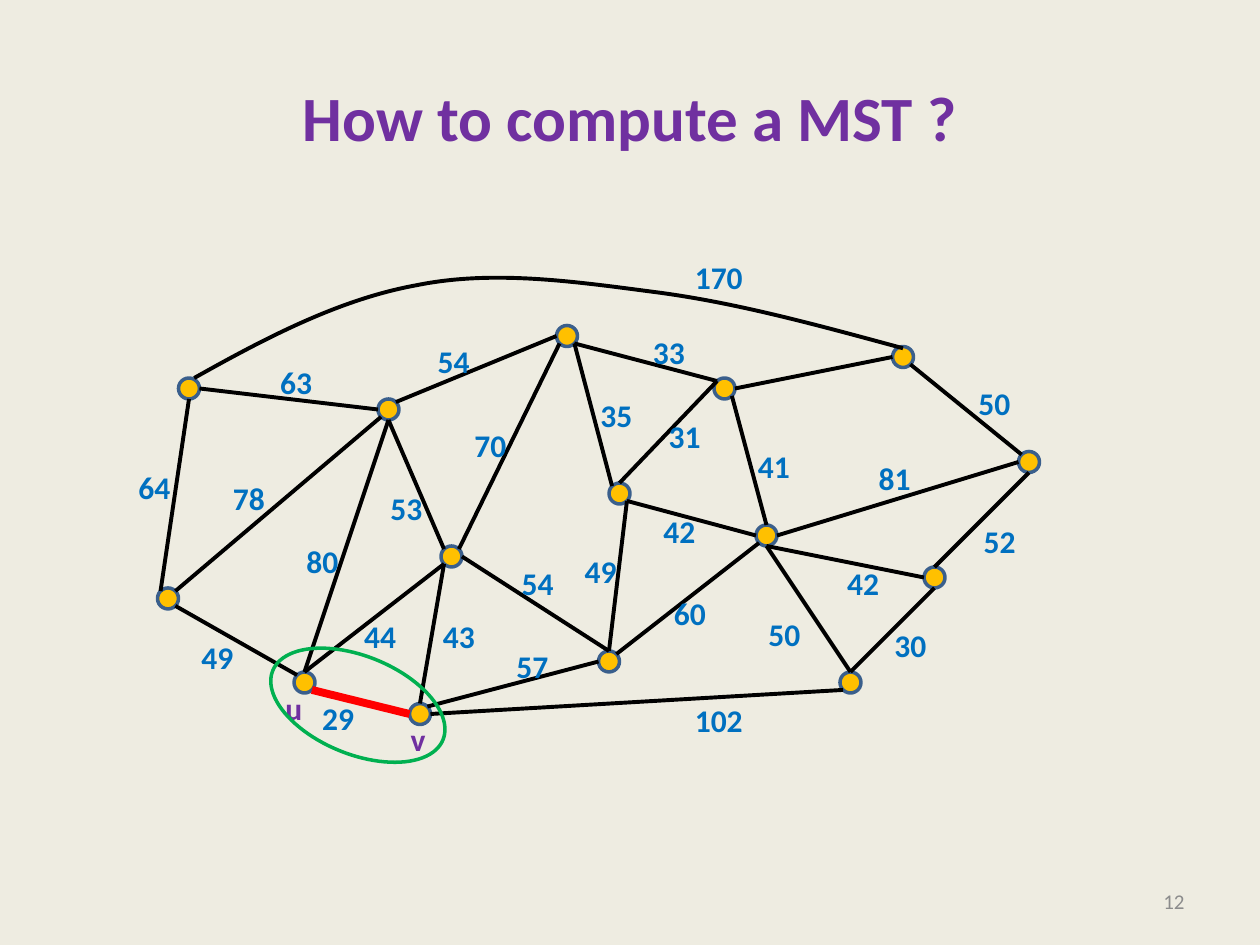
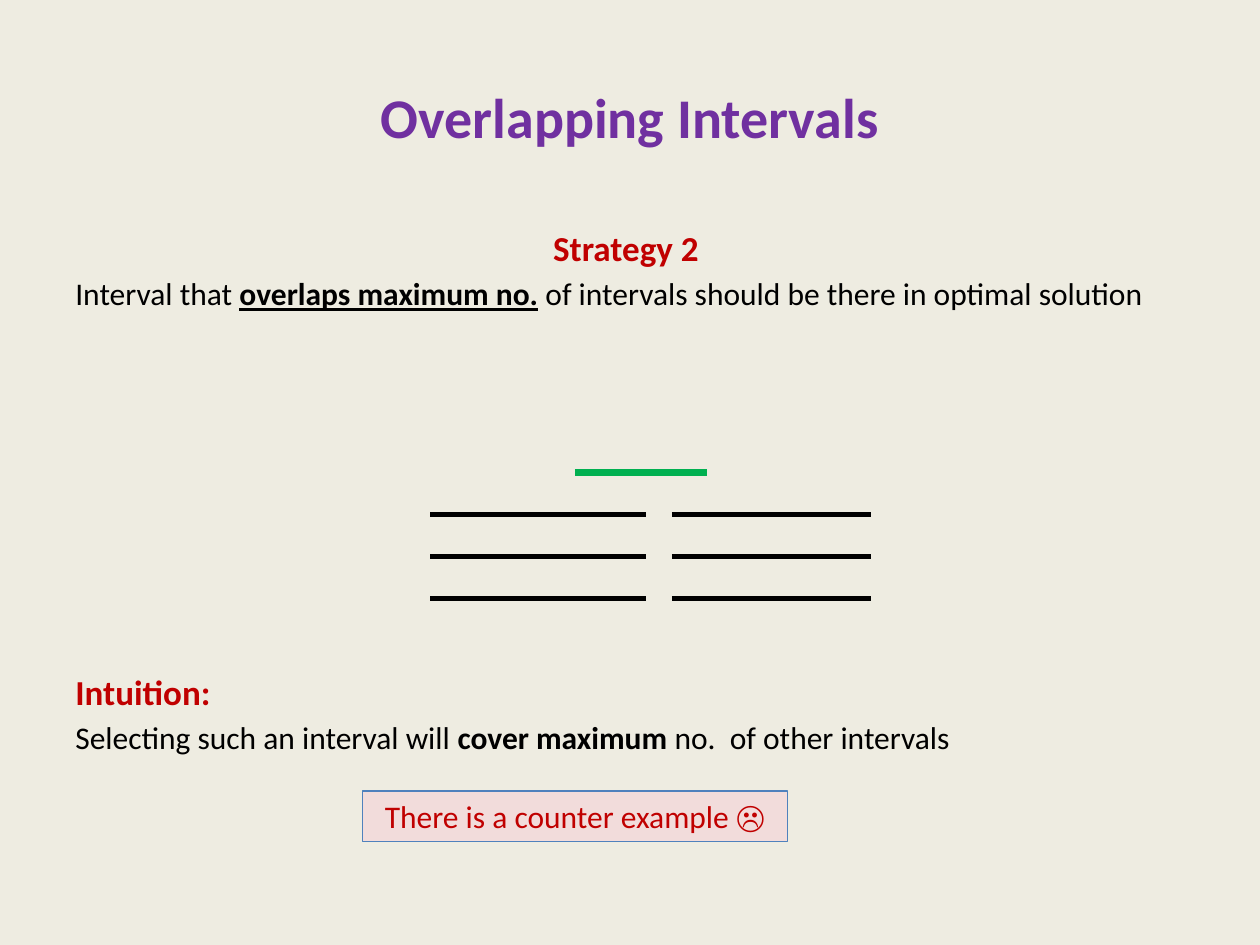
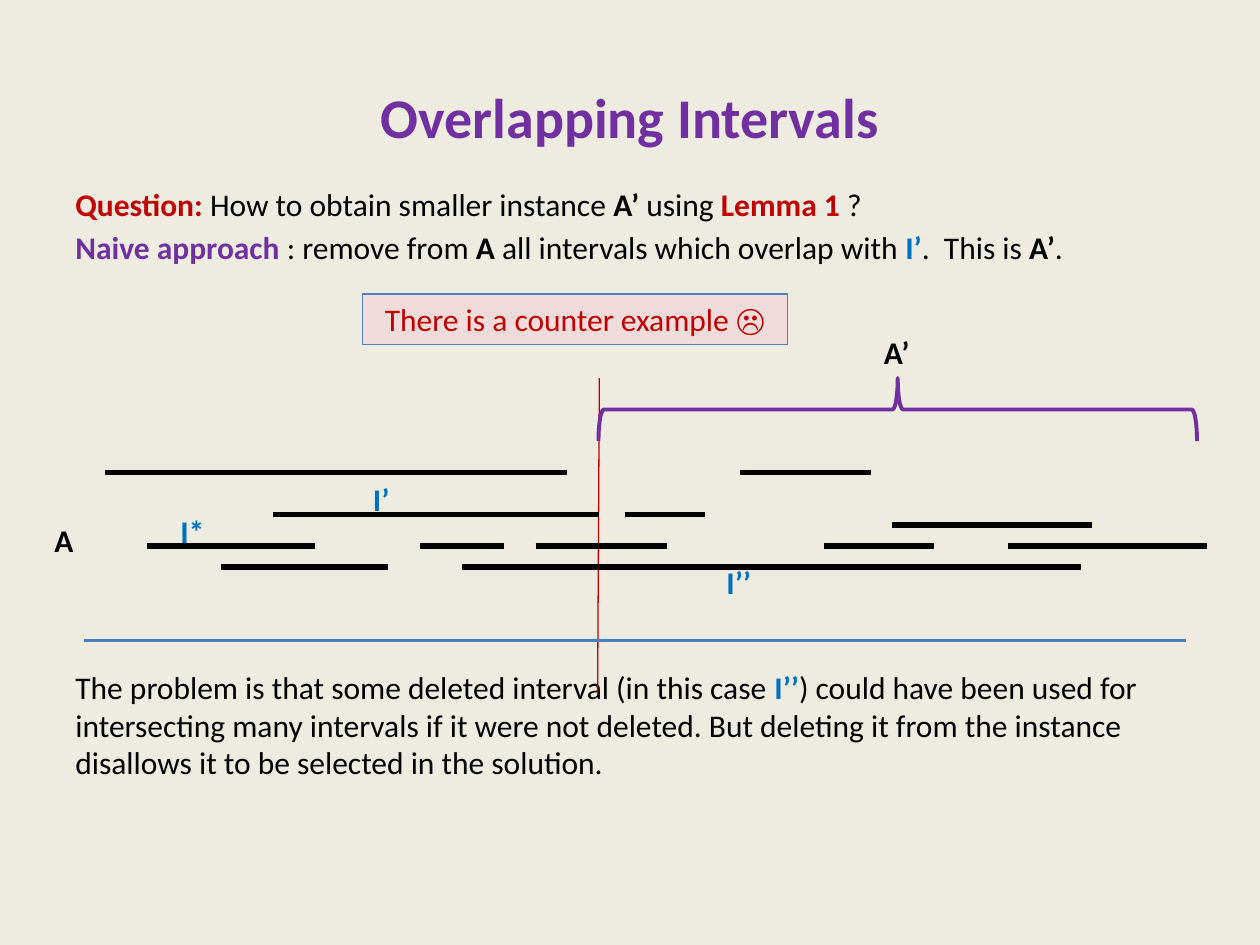
"""Build three slides on spanning trees and overlapping intervals."""

from dataclasses import dataclass
from math import sqrt
from typing import NamedTuple

from lxml.etree import SubElement
from pptx import Presentation
from pptx.dml.color import RGBColor
from pptx.enum.shapes import MSO_CONNECTOR as Wire, MSO_SHAPE as Form
from pptx.enum.text import MSO_ANCHOR as Anchor, MSO_AUTO_SIZE as Fit, PP_ALIGN as Align
from pptx.oxml.ns import qn
from pptx.shapes.autoshape import Shape
from pptx.slide import Slide
from pptx.text.text import Font
from pptx.util import Pt


@dataclass(frozen=True)
class Theme:
    """Colours and type sizes of the deck."""
    font: str = "Calibri"
    paper: str = "EEECE1"
    ink: str = "000000"
    purple: str = "7030A0"
    blue: str = "0070C0"
    red: str = "C00000"
    hot: str = "FF0000"
    green: str = "00B050"
    gold: str = "FFC000"
    rim: str = "3A5F8C"
    pink: str = "F2DCDB"
    edge: str = "4F81BD"
    axis: str = "4B7EBC"
    gray: str = "8C8C8C"
    small: float = 12
    text: float = 18
    lead: float = 20
    head: float = 32
    large: float = 36


LOOK = Theme()


class Span(NamedTuple):
    """A run of text in one style."""
    text: str
    color: str = LOOK.ink
    bold: bool = False
    under: bool = False


class Para(NamedTuple):
    """A paragraph of spans with the gap above it."""
    spans: list[Span]
    gap: float = 3.2
    size: float = LOOK.text
    align: Align = Align.LEFT


class Box(NamedTuple):
    """A frame in points."""
    x: float
    y: float
    w: float
    h: float


class Label(NamedTuple):
    """A short bold tag."""
    text: str
    x: float
    y: float
    w: float
    color: str = LOOK.blue


class Line(NamedTuple):
    """A straight line in points."""
    x1: float
    y1: float
    x2: float
    y2: float
    color: str = LOOK.ink
    width: float = 3


class Edge(NamedTuple):
    """An edge between two node sites, with its weight and label place."""
    start: str
    exit: str
    end: str
    entry: str
    weight: str = ""
    x: float = 0
    y: float = 0
    color: str = LOOK.ink
    width: float = 2.25


RADIUS = 6
DIAG = sqrt(0.5)
SITES = {
    "N": (0, -1), "S": (0, 1), "W": (-1, 0), "E": (1, 0),
    "NW": (-DIAG, -DIAG), "NE": (DIAG, -DIAG),
    "SW": (-DIAG, DIAG), "SE": (DIAG, DIAG),
}
NODES = {
    "a": (108, 222), "b": (222, 234), "c": (96, 342), "d": (258, 318),
    "e": (324, 192), "u": (174, 390), "g": (414, 222), "h": (438, 306),
    "i": (348, 378), "j": (534, 330), "k": (486, 390), "v": (240, 408),
    "m": (354, 282), "n": (516, 204), "o": (588, 264),
}
EDGES = [
    Edge("a", "E", "b", "W", "63", 153, 204),
    Edge("a", "S", "c", "NW", "64", 72, 264),
    Edge("b", "S", "d", "NW", "53", 216, 276),
    Edge("d", "SW", "u", "N", "44", 201, 349),
    Edge("e", "SW", "d", "NE", "70", 264, 240),
    Edge("g", "NW", "m", "N", "31", 375, 235),
    Edge("e", "SE", "g", "NW", "33", 366, 187),
    Edge("d", "E", "i", "N", "54", 291, 319),
    Edge("d", "SW", "v", "N", "43", 246, 349),
    Edge("b", "NE", "e", "W", "54", 243, 192),
    Edge("g", "E", "n", "W"),
    Edge("n", "SE", "o", "NW", "50", 552, 216),
    Edge("g", "SE", "h", "N", "41", 426, 252),
    Edge("o", "W", "h", "E", "81", 495, 259),
    Edge("j", "W", "h", "S", "42", 477, 319),
    Edge("k", "N", "h", "S", "50", 432, 348),
    Edge("i", "N", "m", "SE", "49", 327, 312),
    Edge("m", "SE", "h", "W", "42", 372, 289),
    Edge("v", "E", "k", "SW", "102", 390, 397),
    Edge("c", "SE", "u", "NW", "49", 108, 361),
    Edge("i", "W", "v", "NE", "57", 288, 366),
    Edge("b", "SW", "c", "NE", "78", 126, 270),
    Edge("b", "S", "u", "N", "80", 168, 306),
    Edge("e", "SE", "m", "NW", "35", 336, 223),
    Edge("h", "SW", "i", "NE", "60", 378, 336),
    Edge("o", "S", "j", "N", "52", 555, 295),
    Edge("k", "N", "j", "S", "30", 504, 354),
    Edge("v", "W", "u", "SE", "29", 177, 396, LOOK.hot, 4.5),
]
ARC = [
    (111, 216), (152, 193), (194, 171), (238, 163), (282, 154),
    (329, 161), (375, 167), (421, 173), (468, 186), (516, 199),
]
SPANS = {
    270: [(60, 324), (423, 498)],
    294: [(156, 342), (357, 403)],
    300: [(510, 624)],
    312: [(84, 180), (240, 288), (306, 381), (471, 534), (576, 690)],
    324: [(126, 222), (264, 618)],
}


def hue(code: str) -> RGBColor:
    """Turn a hex code into a colour."""
    return RGBColor.from_string(code)


def style(font: Font, size: float, color: str, bold: bool = False) -> None:
    """Set the face, size, colour and weight of a font."""
    font.name = LOOK.font
    font.size = Pt(size)
    font.bold = bold
    font.color.rgb = hue(color)


def dress(shape: Shape, fill: str, line: str, width: float) -> None:
    """Set fill and outline and drop the shadow; an empty fill is none."""
    shape.shadow.inherit = False
    if fill:
        shape.fill.solid()
        shape.fill.fore_color.rgb = hue(fill)
    else:
        shape.fill.background()
    shape.line.color.rgb = hue(line)
    shape.line.width = Pt(width)


def add_form(slide: Slide, kind: Form, box: Box, fill: str, line: str, width: float) -> Shape:
    """Draw a preset shape."""
    shape = slide.shapes.add_shape(kind, *map(Pt, box))
    dress(shape, fill, line, width)
    return shape


def add_line(slide: Slide, line: Line) -> None:
    """Draw a straight line."""
    wire = slide.shapes.add_connector(Wire.STRAIGHT, *map(Pt, line[:4]))
    wire.line.color.rgb = hue(line.color)
    wire.line.width = Pt(line.width)
    SubElement(wire.element.spPr, qn("a:effectLst"))


def add_label(slide: Slide, label: Label) -> None:
    """Write a short tag that does not wrap."""
    frame = slide.shapes.add_textbox(Pt(label.x), Pt(label.y), Pt(label.w), Pt(29)).text_frame
    frame.word_wrap = False
    frame.auto_size = Fit.SHAPE_TO_FIT_TEXT
    frame.text = label.text
    style(frame.paragraphs[0].runs[0].font, LOOK.text, label.color, True)


def add_body(slide: Slide, top: float, paras: list[Para]) -> None:
    """Write the main text from the given top down to the body margin."""
    frame = slide.shapes.add_textbox(Pt(36), Pt(top), Pt(648), Pt(482 - top)).text_frame
    frame.word_wrap = True
    for i, para in enumerate(paras):
        block = frame.add_paragraph() if i else frame.paragraphs[0]
        block.alignment = para.align
        if i:
            block.space_before = Pt(para.gap)
        for span in para.spans:
            run = block.add_run()
            run.text = span.text
            style(run.font, para.size, span.color, span.bold)
            if span.under:
                run.font.underline = True


def add_note(slide: Slide, top: float) -> None:
    """Draw the pink box that announces a counter example."""
    box = Box(207, top, 243, 29)
    frame = add_form(slide, Form.RECTANGLE, box, LOOK.pink, LOOK.edge, 0.75).text_frame
    frame.word_wrap = True
    frame.vertical_anchor = Anchor.TOP
    frame.text = "There is a counter example ☹"
    para = frame.paragraphs[0]
    para.alignment = Align.CENTER
    style(para.runs[0].font, LOOK.text, LOOK.red)


def add_arc(slide: Slide, points: list[tuple[float, float]]) -> None:
    """Draw a chain of cubic curves through start and control points."""
    spots = [(Pt(x), Pt(y)) for x, y in points]
    build = slide.shapes.build_freeform(*spots[0])
    build.add_line_segments(spots[1:], close=False)
    shape = build.convert_to_shape()
    dress(shape, "", LOOK.ink, 2.25)
    track = shape.element.find(".//" + qn("a:path"))
    legs = track.findall(qn("a:lnTo"))
    for i in range(0, len(legs), 3):
        curve = SubElement(track, qn("a:cubicBezTo"))
        for leg in legs[i:i + 3]:
            curve.append(leg[0])
            track.remove(leg)


def add_slide(deck: Presentation, title: str, size: float = LOOK.head) -> Slide:
    """Add a slide with its title."""
    slide = deck.slides.add_slide(deck.slide_layouts[5])
    head = slide.shapes.title
    head.left, head.top, head.width, head.height = map(Pt, (36, 21.6, 648, 90))
    frame = head.text_frame
    frame.vertical_anchor = Anchor.MIDDLE
    frame.text = title
    frame.paragraphs[0].alignment = Align.CENTER
    style(frame.paragraphs[0].runs[0].font, size, LOOK.purple, True)
    return slide


def add_page(slide: Slide, number: str) -> None:
    """Write the page number at the lower right."""
    frame = slide.shapes.add_textbox(Pt(516), Pt(500.5), Pt(168), Pt(29)).text_frame
    frame.word_wrap = True
    frame.vertical_anchor = Anchor.MIDDLE
    frame.text = number
    frame.paragraphs[0].alignment = Align.RIGHT
    style(frame.paragraphs[0].runs[0].font, LOOK.small, LOOK.gray)


def site(node: str, side: str) -> tuple[float, float]:
    """Find a point on the rim of a node."""
    (x, y), (dx, dy) = NODES[node], SITES[side]
    return x + RADIUS * dx, y + RADIUS * dy


def draw_tree(deck: Presentation) -> None:
    """Draw the weighted graph with its lightest edge marked."""
    slide = add_slide(deck, "How to compute a MST ?", LOOK.large)
    add_page(slide, "12")
    for x, y in NODES.values():
        box = Box(x - RADIUS, y - RADIUS, 2 * RADIUS, 2 * RADIUS)
        add_form(slide, Form.OVAL, box, LOOK.gold, LOOK.rim, 2)
    for edge in EDGES:
        ends = site(edge.start, edge.exit) + site(edge.end, edge.entry)
        add_line(slide, Line(*ends, edge.color, edge.width))
    add_arc(slide, ARC)
    tags = [(edge.weight, edge.x, edge.y) for edge in EDGES if edge.weight]
    for text, x, y in tags + [("170", 390, 144)]:
        add_label(slide, Label(text, x, y, 14.4 + 9.2 * len(text)))
    add_label(slide, Label("u", 156, 390, 24.5, LOOK.purple))
    add_label(slide, Label("v", 227.5, 408, 23, LOOK.purple))
    ring = add_form(slide, Form.OVAL, Box(152, 375, 105, 56), "", LOOK.green, 2)
    ring.rotation = 22.1


def draw_plan(deck: Presentation) -> None:
    """Show the strategy of most overlaps."""
    slide = add_slide(deck, "Overlapping Intervals")
    add_body(slide, 126, [
        Para([Span("Strategy 2 ", LOOK.red, True)], size=LOOK.lead, align=Align.CENTER),
        Para([
            Span("Interval that "),
            Span("overlaps maximum no.", bold=True, under=True),
            Span(" of intervals should be there in optimal solution"),
        ]),
        Para([Span("Intuition:", LOOK.red, True)], 205, LOOK.lead),
        Para([
            Span("Selecting such an interval will "),
            Span("cover maximum ", bold=True),
            Span("no.  of other intervals"),
        ]),
    ])
    add_note(slide, 452)
    add_line(slide, Line(328.5, 270, 404, 270, LOOK.green, 4.5))
    for y in range(294, 343, 24):
        for x1, x2 in ((246, 369), (384, 498)):
            add_line(slide, Line(x1, y, x2, y))


def draw_flaw(deck: Presentation) -> None:
    """Show why the naive approach fails."""
    slide = add_slide(deck, "Overlapping Intervals")
    add_body(slide, 102, [
        Para([
            Span("Question: ", LOOK.red, True),
            Span("How to obtain smaller instance "),
            Span("A’ ", bold=True),
            Span("using "),
            Span("Lemma 1", LOOK.red, True),
            Span(" ?"),
        ]),
        Para([
            Span("Naive approach ", LOOK.purple, True),
            Span(": remove from "),
            Span("A", bold=True),
            Span(" all intervals which overlap with "),
            Span("I’", LOOK.blue, True),
            Span(".  This is "),
            Span("A’", bold=True),
            Span("."),
        ]),
        Para([
            Span("The problem is that some deleted interval (in this case "),
            Span("I’’", LOOK.blue, True),
            Span(") could have been used for intersecting many intervals if it were "
                 "not deleted. But deleting it from the instance disallows it to be "
                 "selected in the solution."),
        ], 229.7),
    ])
    add_line(slide, Line(342.5, 216, 341.5, 396, LOOK.red, 0.75))
    add_line(slide, Line(48, 366, 678, 366, LOOK.axis, 1.5))
    for y, pairs in SPANS.items():
        for x1, x2 in pairs:
            add_line(slide, Line(x1, y, x2, y))
    add_note(slide, 168)
    brace = add_form(slide, Form.RIGHT_BRACE, Box(495, 63, 36, 342), "", LOOK.purple, 2.25)
    brace.rotation = 270
    for label in (
        Label("I’", 206, 271, 24),
        Label("I*", 96, 289, 28),
        Label("I’’", 408, 318, 29),
        Label("A", 24, 294, 25, LOOK.ink),
        Label("A’", 498, 187, 29.5, LOOK.ink),
    ):
        add_label(slide, label)


def main() -> None:
    """Build and save the deck."""
    deck = Presentation()
    deck.slide_width, deck.slide_height = Pt(720), Pt(540)
    back = deck.slide_master.background.fill
    back.solid()
    back.fore_color.rgb = hue(LOOK.paper)
    draw_tree(deck)
    draw_plan(deck)
    draw_flaw(deck)
    deck.save("out.pptx")


if __name__ == "__main__":
    main()
